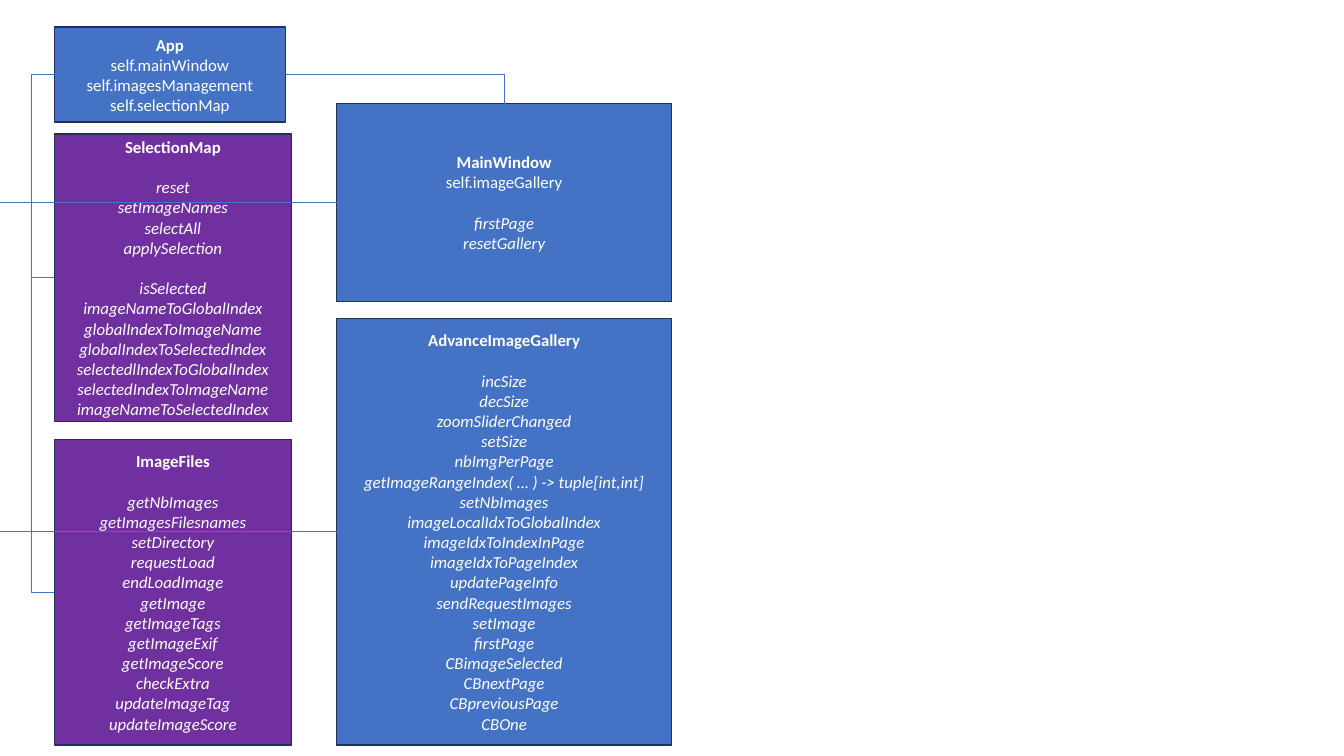
from dataclasses import dataclass

from lxml.etree import SubElement
from pptx import Presentation
from pptx.dml.color import RGBColor
from pptx.enum.shapes import MSO_CONNECTOR as CONNECTOR, MSO_SHAPE as SHAPE
from pptx.enum.text import MSO_ANCHOR as ANCHOR, PP_ALIGN as ALIGN
from pptx.oxml.ns import qn
from pptx.util import Inches, Pt


@dataclass(frozen=True)
class Theme:
    font: str = "Calibri"
    size: Pt = Pt(12)
    group_gap: Pt = Pt(14.6)
    text: RGBColor = RGBColor(0xFF, 0xFF, 0xFF)
    widget: RGBColor = RGBColor(0x44, 0x72, 0xC4)
    model: RGBColor = RGBColor(0x70, 0x30, 0xA0)
    border: RGBColor = RGBColor(0x1E, 0x32, 0x56)
    link: RGBColor = RGBColor(0x44, 0x72, 0xC4)
    border_width: Pt = Pt(1)
    link_width: Pt = Pt(0.5)


THEME = Theme()
LEFT, RIGHT = 0.54, 3.34
BRACKET_X = 0.31

# name: (bounds, fill, attributes, groups of methods)
CLASSES = {
    "AdvanceImageGallery": ((RIGHT, 3.16, 3.32, 4.23), THEME.widget, [], [
        ["incSize", "decSize", "zoomSliderChanged", "setSize", "nbImgPerPage",
         "getImageRangeIndex( … ) -> tuple[int,int]", "setNbImages",
         "imageLocalIdxToGlobalIndex", "imageIdxToIndexInPage",
         "imageIdxToPageIndex", "updatePageInfo", "sendRequestImages",
         "setImage", "firstPage", "CBimageSelected", "CBnextPage",
         "CBpreviousPage", "CBOne"]]),
    "MainWindow": ((RIGHT, 1.03, 3.32, 1.96), THEME.widget,
                   ["self.imageGallery"], [["firstPage", "resetGallery"]]),
    "App": ((LEFT, 0.27, 2.29, 0.94), THEME.widget,
            ["self.mainWindow", "self.imagesManagement", "self.selectionMap"], []),
    "ImageFiles": ((LEFT, 4.36, 2.35, 3.03), THEME.model, [], [
        ["getNbImages", "getImagesFilesnames", "setDirectory", "requestLoad",
         "endLoadImage", "getImage", "getImageTags", "getImageExif",
         "getImageScore", "checkExtra", "updateImageTag", "updateImageScore"]]),
    "SelectionMap": ((LEFT, 1.33, 2.35, 2.85), THEME.model, [], [
        ["reset", "setImageNames", "selectAll", "applySelection"],
        ["isSelected", "imageNameToGlobalIndex", "globalIndexToImageName",
         "globalIndexToSelectedIndex", "selectedlIndexToGlobalIndex",
         "selectedIndexToImageName", "imageNameToSelectedIndex"]]),
}


def add_line(frame, text, bold=False, italic=False, gap=Pt(0)):
    line = frame.paragraphs[0] if bold else frame.add_paragraph()
    line.text = text
    line.alignment = ALIGN.CENTER
    line.space_before = gap
    font = line.font
    font.name, font.size, font.bold, font.italic = THEME.font, THEME.size, bold, italic
    font.color.rgb = THEME.text


def add_class(slide, name, bounds, fill, attributes, method_groups):
    box = slide.shapes.add_shape(SHAPE.RECTANGLE, *map(Inches, bounds))
    box.shadow.inherit = False
    box.fill.solid()
    box.fill.fore_color.rgb = fill
    box.line.color.rgb = THEME.border
    box.line.width = THEME.border_width
    frame = box.text_frame
    frame.word_wrap = True
    frame.vertical_anchor = ANCHOR.MIDDLE
    add_line(frame, name, bold=True)
    for attribute in attributes:
        add_line(frame, attribute)
    for methods in method_groups:
        for index, method in enumerate(methods):
            add_line(frame, method, italic=True,
                     gap=Pt(0) if index else THEME.group_gap)


def add_link(slide, start, end, kind=CONNECTOR.STRAIGHT):
    link = slide.shapes.add_connector(kind, *map(Inches, start + end))
    link.line.color.rgb = THEME.link
    link.line.width = THEME.link_width
    SubElement(link._element.spPr, qn("a:effectLst"))
    return link


def add_bracket(slide, top, bottom):
    """Join two heights on the left column by an elbow that runs outside it."""
    start_x = LEFT + 0.02
    link = add_link(slide, (start_x, top), (LEFT, bottom), CONNECTOR.ELBOW)
    bend = round((start_x - BRACKET_X) / (start_x - LEFT) * 100000)
    adjustments = link._element.spPr.find(qn("a:prstGeom")).find(qn("a:avLst"))
    SubElement(adjustments, qn("a:gd"), name="adj1", fmla=f"val {bend}")


def add_corner(slide, start, end):
    link = add_link(slide, start, end, CONNECTOR.ELBOW)
    link._element.spPr.find(qn("a:prstGeom")).set("prst", "bentConnector2")


def main():
    deck = Presentation()
    deck.slide_width, deck.slide_height = Inches(13.33), Inches(7.5)
    slide = deck.slides.add_slide(deck.slide_layouts[6])

    for name, details in CLASSES.items():
        add_class(slide, name, *details)

    def middle(name):
        _, top, _, height = CLASSES[name][0]
        return top + height / 2

    for name in ("ImageFiles", "SelectionMap"):
        add_bracket(slide, middle("App"), middle(name))
    for name in ("MainWindow", "AdvanceImageGallery"):
        add_link(slide, (RIGHT, middle(name)), (0, middle(name)))

    left, top, width, _ = CLASSES["MainWindow"][0]
    app_left, _, app_width, _ = CLASSES["App"][0]
    add_corner(slide, (app_left + app_width, middle("App")), (left + width / 2, top))

    deck.save("out.pptx")


if __name__ == "__main__":
    main()
